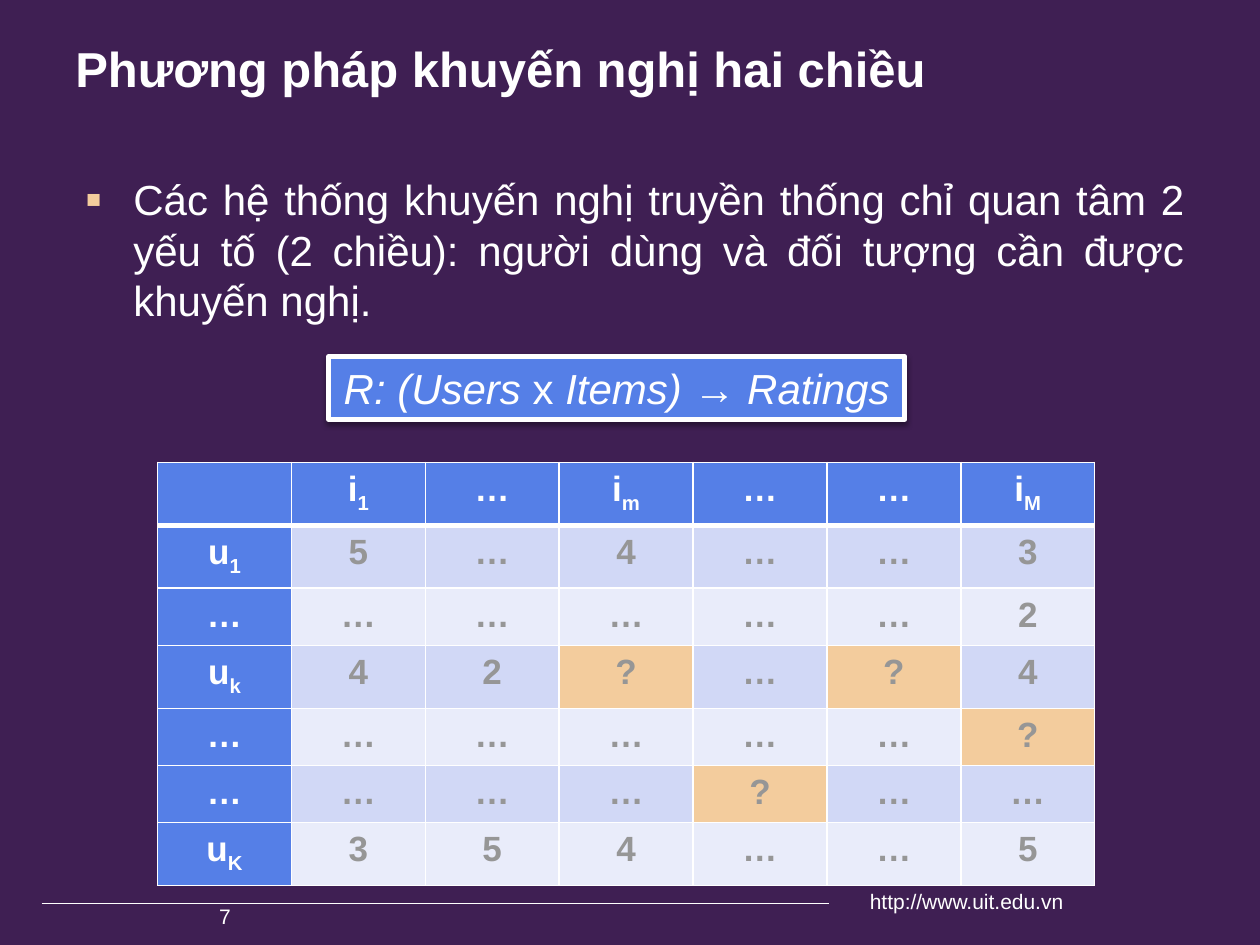
"""Build a slide on two-dimensional recommendation with a user-item rating table."""
from lxml.etree import SubElement
from pptx import Presentation
from pptx.dml.color import RGBColor
from pptx.enum.shapes import MSO_CONNECTOR as CONN, MSO_SHAPE as SHAPE
from pptx.enum.text import MSO_ANCHOR as ANCHOR, MSO_AUTO_SIZE as FIT, PP_ALIGN as ALIGN
from pptx.oxml import parse_xml
from pptx.oxml.ns import nsdecls, qn
from pptx.util import Inches, Pt

WHITE, BLUE, ORANGE, GREY = "FFFFFF", "557FE7", "F3CC9D", "969696"
BANDS = ["E9ECFA", "D1D8F6"]
rgb = RGBColor.from_string


def add_run(p, text, size, color=WHITE, bold=False, italic=False):
    r = p.add_run()
    r.text = text
    r.font.name = "Arial"
    r.font.size = Pt(size)
    r.font.color.rgb = rgb(color)
    r.font.bold = bold
    r.font.italic = italic
    return r


def add_text(box, text, size, align=ALIGN.LEFT, bold=False):
    tf = s.shapes.add_textbox(*[Inches(v) for v in box]).text_frame
    tf.word_wrap = True
    p = tf.paragraphs[0]
    p.alignment = align
    add_run(p, text, size, bold=bold)
    return tf


prs = Presentation()
prs.slide_width, prs.slide_height = Inches(10), Inches(7.5)
s = prs.slides.add_slide(prs.slide_layouts[6])
s.background.fill.solid()
s.background.fill.fore_color.rgb = rgb("3F1F53")

rule = s.shapes.add_connector(CONN.STRAIGHT, Inches(0.33), Inches(7.17), Inches(6.58), Inches(7.17))
rule.line.color.rgb = rgb(WHITE)
rule.line.width = Pt(0.5)
SubElement(rule._element.spPr, qn("a:effectLst"))

tf = add_text((0.5, 0.29, 7.96, 0.5), "Phương pháp khuyến nghị hai chiều", 28, bold=True)
tf.vertical_anchor = ANCHOR.MIDDLE

tf = add_text((0.58, 1.33, 8.92, 1.4),
              "Các hệ thống khuyến nghị truyền thống chỉ quan tâm 2 yếu tố (2 chiều): "
              "người dùng và đối tượng cần được khuyến nghị.", 24, ALIGN.JUSTIFY)
pPr = tf.paragraphs[0]._p.get_or_add_pPr()
pPr.set("marL", str(Inches(0.38)))
pPr.set("indent", str(-Inches(0.38)))
SubElement(SubElement(pPr, qn("a:buClr")), qn("a:srgbClr"), val=ORANGE)
SubElement(pPr, qn("a:buSzPct"), val="115000")
SubElement(pPr, qn("a:buFont"), typeface="Arial")
SubElement(pPr, qn("a:buChar"), char="▪")

add_text((6.58, 7, 1.96, 0.34), "http://www.uit.edu.vn", 12, ALIGN.RIGHT)
add_text((1.64, 7.12, 1.42, 0.27), "7", 12)

formula = s.shapes.add_shape(SHAPE.RECTANGLE, Inches(2.61), Inches(2.83), Inches(4.57), Inches(0.5))
formula.fill.solid()
formula.fill.fore_color.rgb = rgb(BLUE)
formula.line.color.rgb = rgb(WHITE)
formula.line.width = Pt(3)
formula._element.spPr.append(parse_xml(
    f'<a:effectLst {nsdecls("a")}><a:outerShdw blurRad="{Pt(3.1)}" dist="{Pt(1.6)}" dir="5400000" '
    'rotWithShape="0"><a:srgbClr val="000000"><a:alpha val="38000"/></a:srgbClr></a:outerShdw></a:effectLst>'))
tf = formula.text_frame
tf.word_wrap = False
tf.auto_size = FIT.SHAPE_TO_FIT_TEXT
p = tf.paragraphs[0]
p.alignment = ALIGN.CENTER
for text, italic in [("R: (Users ", True), ("x", False), (" Items) → Ratings", True)]:
    add_run(p, text, 24, italic=italic)

ratings = [
    ["", "i_1", "…", "i_m", "…", "…", "i_M"],
    ["u_1", "5", "…", "4", "…", "…", "3"],
    ["…", "…", "…", "…", "…", "…", "2"],
    ["u_k", "4", "2", "?", "…", "?", "4"],
    ["…", "…", "…", "…", "…", "…", "?"],
    ["…", "…", "…", "…", "?", "…", "…"],
    ["u_K", "3", "5", "4", "…", "…", "5"],
]
table = s.shapes.add_table(7, 7, Inches(1.25), Inches(3.67), Inches(7.44), Inches(3.17)).table
for i, row in enumerate(ratings):
    for j, text in enumerate(row):
        cell = table.cell(i, j)
        heading = i == 0 or j == 0
        cell.margin_left = cell.margin_right = Inches(0.11)
        cell.margin_top = cell.margin_bottom = Inches(0.06)
        tcPr = cell._tc.get_or_add_tcPr()
        for side in "LRTB":
            thick = (i, side) in [(0, "B"), (1, "T")]
            ln = SubElement(tcPr, qn(f"a:ln{side}"), w=str(Pt(3 if thick else 1)))
            SubElement(SubElement(ln, qn("a:solidFill")), qn("a:srgbClr"), val=WHITE)
        cell.fill.solid()
        cell.fill.fore_color.rgb = rgb(BLUE if heading else ORANGE if text == "?" else BANDS[i % 2])
        p = cell.text_frame.paragraphs[0]
        p.alignment = ALIGN.CENTER
        base, _, sub = text.partition("_")
        if base:
            add_run(p, base, 20, WHITE if heading else GREY, bold=True)
        if sub:
            r = add_run(p, sub, 20, bold=True)
            r.font._element.set("baseline", "-25000")

prs.save("out.pptx")
